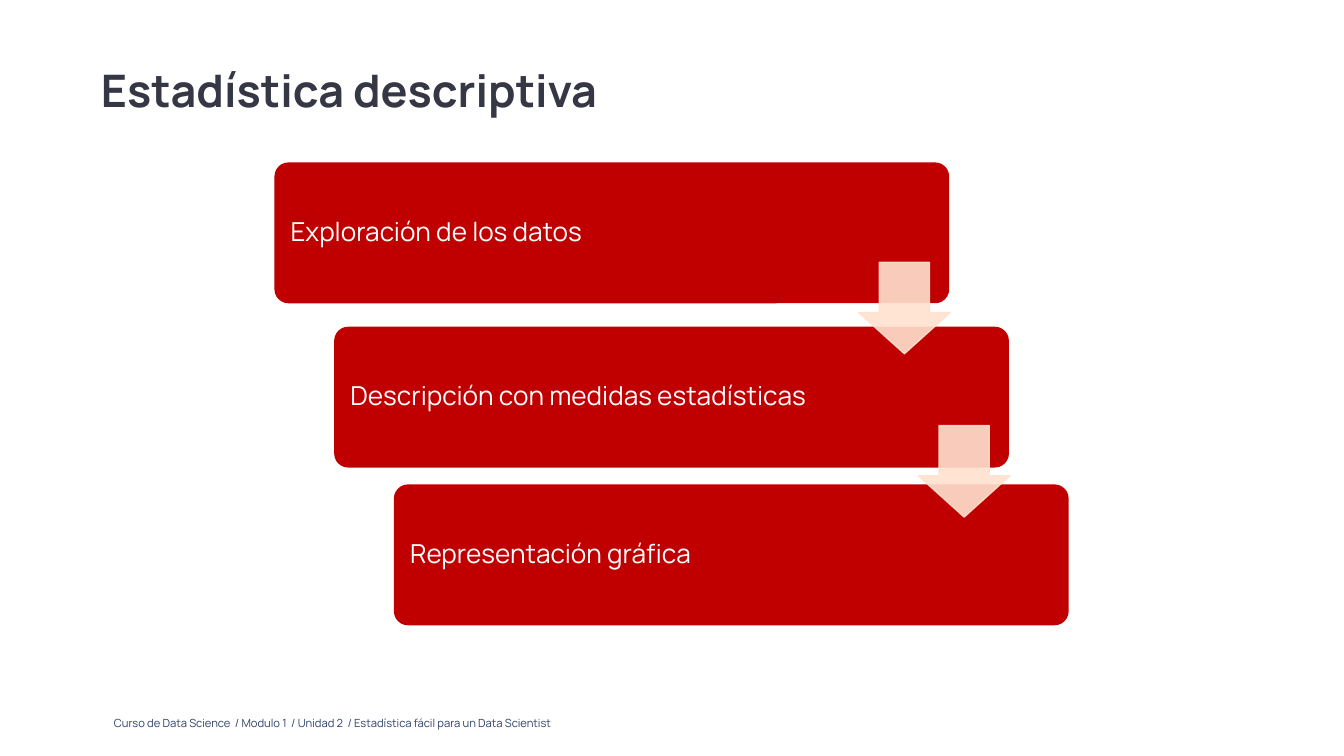
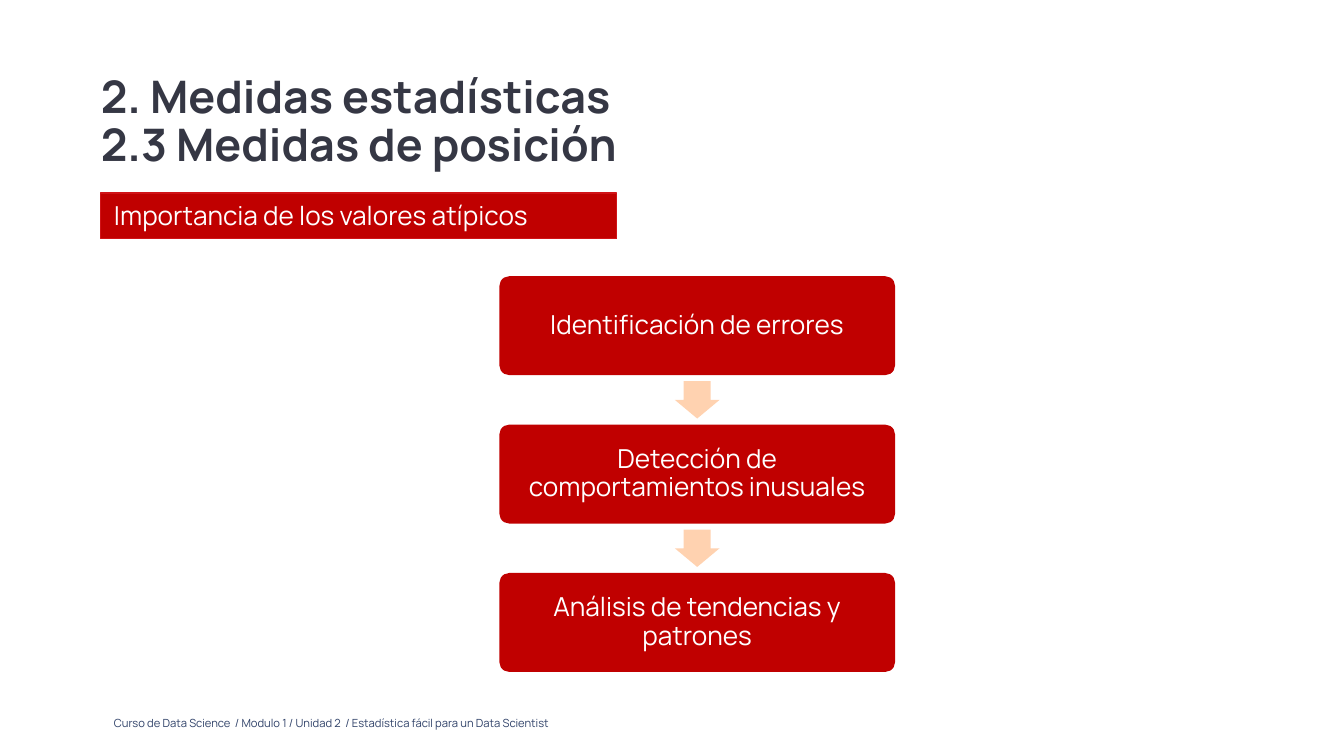
from dataclasses import dataclass

from lxml.etree import SubElement
from pptx import Presentation
from pptx.dml.color import RGBColor
from pptx.enum.shapes import MSO_SHAPE
from pptx.enum.text import MSO_ANCHOR, PP_ALIGN
from pptx.oxml.ns import qn
from pptx.util import Pt


@dataclass(frozen=True)
class Theme:
    """Colours, font and type sizes shared by the slides."""
    font: str = "Manrope"
    title: str = "353744"
    footer: str = "304269"
    red: str = "C00000"
    red_edge: str = "D01317"
    white: str = "FFFFFF"
    pale_arrow: str = "FFE2CF"
    arrow: str = "FFD2B0"
    title_size: int = 24
    body_size: int = 14
    footer_size: int = 6


THEME = Theme()


def write(sp, text, size=THEME.body_size, color=THEME.white, bold=False,
          align=PP_ALIGN.LEFT, anchor=MSO_ANCHOR.MIDDLE, spacing=0.9,
          inset=(4.5, 4.5)):
    """Fill a shape with text, one paragraph per line."""
    tf = sp.text_frame
    tf.word_wrap = True
    tf.vertical_anchor = anchor
    tf.margin_left = tf.margin_right = Pt(inset[0])
    tf.margin_top = tf.margin_bottom = Pt(inset[1])
    for i, line in enumerate(text.split("\n")):
        p = tf.add_paragraph() if i else tf.paragraphs[0]
        p.alignment = align
        p.line_spacing = spacing
        r = p.add_run()
        r.text = line
        r.font.name = THEME.font
        r.font.size = Pt(size)
        r.font.bold = bold
        r.font.color.rgb = RGBColor.from_string(color)


def set_alpha(sp, percent):
    """Set the opacity of every solid colour of a shape."""
    for color in sp._element.spPr.iter(qn("a:srgbClr")):
        SubElement(color, qn("a:alpha")).set("val", str(percent * 1000))


def add_box(s, kind, x, y, w, h, fill, line=None, adj=()):
    """Add a flat preset shape with an optional thin outline."""
    sp = s.shapes.add_shape(kind, Pt(x), Pt(y), Pt(w), Pt(h))
    sp.shadow.inherit = False
    sp.fill.solid()
    sp.fill.fore_color.rgb = RGBColor.from_string(fill)
    if line:
        sp.line.color.rgb = RGBColor.from_string(line)
        sp.line.width = Pt(0.75)
    else:
        sp.line.fill.background()
    for i, value in enumerate(adj):
        sp.adjustments[i] = value
    return sp


def add_step(s, text, x, y, w, h, align=PP_ALIGN.LEFT):
    """Add a rounded red step with its label."""
    sp = add_box(s, MSO_SHAPE.ROUNDED_RECTANGLE, x, y, w, h, THEME.red, adj=(0.1,))
    write(sp, text, align=align, inset=(6.5, 4.5))


def add_arrow(s, x, y, w, h, fill, adj, line=None):
    """Add a down arrow between two steps."""
    return add_box(s, MSO_SHAPE.DOWN_ARROW, x, y, w, h, fill, line, adj)


def add_text(s, text, x, y, w, h, **fmt):
    """Add a text box."""
    sp = s.shapes.add_textbox(Pt(x), Pt(y), Pt(w), Pt(h))
    write(sp, text, anchor=MSO_ANCHOR.TOP, **fmt)


def add_slide(prs, title, title_y, title_h, footer):
    """Add a blank slide with its title and footer."""
    s = prs.slides.add_slide(prs.slide_layouts[6])
    add_text(s, title, 54, title_y, 500, title_h, size=THEME.title_size,
             color=THEME.title, bold=True, inset=(0, 0))
    add_text(s, footer, 54, 380, 485, 17.5, size=THEME.footer_size,
             color=THEME.footer, spacing=1.0, inset=(7.2, 7.2))
    return s


def build_descriptive(prs):
    """Build the staircase of descriptive statistics."""
    s = add_slide(prs, "Estadística descriptiva", 36.7, 31,
                  "Curso de Data Science  / Modulo 1  / Unidad 2  / "
                  "Estadística fácil para un Data Scientist")
    steps = (("Exploración de los datos", 87),
             ("Descripción con medidas estadísticas", 175),
             ("Representación gráfica", 259.5))
    shift = 32
    for i, (text, y) in enumerate(steps):
        add_step(s, text, 147 + i * shift, y, 361.5, 75.5)
    for i in range(len(steps) - 1):
        sp = add_arrow(s, 460 + i * shift, 140.5 + i * 87.5, 49, 49,
                       THEME.pale_arrow, (0.55, 0.45), THEME.pale_arrow)
        set_alpha(sp, 90)


def build_outliers(prs):
    """Build the column on why outliers matter."""
    s = add_slide(prs, "2. Medidas estadísticas\n2.3 Medidas de posición", 40, 27.5,
                  "Curso de Data Science  / Modulo 1 / Unidad 2  / "
                  "Estadística fácil para un Data Scientist")
    bar = add_box(s, MSO_SHAPE.RECTANGLE, 54, 103.5, 276.5, 24.5,
                  THEME.red, THEME.red_edge)
    write(bar, "Importancia de los valores atípicos", spacing=1.0,
          anchor=MSO_ANCHOR.TOP, inset=(7.2, 3.6))
    steps = ("Identificación de errores",
             "Detección de comportamientos inusuales",
             "Análisis de tendencias y patrones")
    x, w, h, arrow_w = 267.5, 212, 53, 24
    for i, text in enumerate(steps):
        y = 148 + i * 79.5
        add_step(s, text, x, y, w, h, PP_ALIGN.CENTER)
        if i < len(steps) - 1:
            add_arrow(s, x + (w - arrow_w) / 2, y + h + 3.25, arrow_w, 20,
                      THEME.arrow, (0.6, 0.5))


def main():
    """Build and save the presentation."""
    prs = Presentation()
    prs.slide_width, prs.slide_height = Pt(720), Pt(405)
    build_descriptive(prs)
    build_outliers(prs)
    prs.save("out.pptx")


if __name__ == "__main__":
    main()
